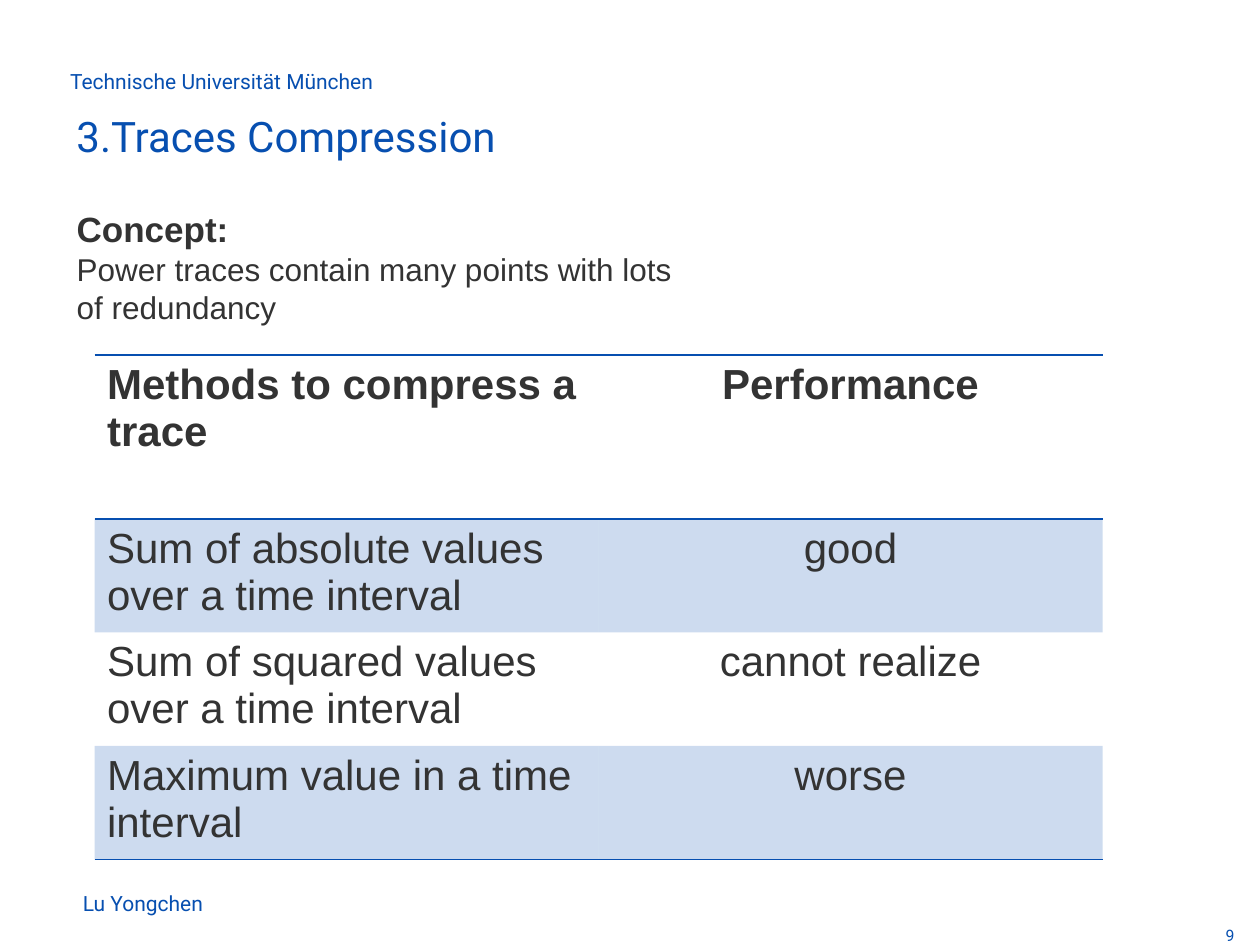
from lxml import etree
from pptx import Presentation
from pptx.dml.color import RGBColor
from pptx.enum import text
from pptx.oxml.ns import qn
from pptx.util import Pt

BLUE = RGBColor(0x07, 0x4F, 0xB0)
DARK = RGBColor(0x33, 0x33, 0x33)
NO_STYLE = "{2D5ABB26-0587-4C30-8999-92F81FD0307C}"

ROWS = [
    ("Methods to compress a trace", "Performance"),
    ("Sum of absolute values over a time interval", "good"),
    ("Sum of squared values over a time interval", "cannot realize"),
    ("Maximum value in a time interval", "worse"),
]


def format_runs(p, size, font, color, bold=False):
    for r in p.runs:
        r.font.size = Pt(size)
        r.font.name = font
        r.font.color.rgb = color
        r.font.bold = bold


def add_text(s, box, lines, anchor=text.MSO_ANCHOR.TOP):
    """Each line is (wording, size, font, colour, bold)."""
    tf = s.shapes.add_textbox(*map(Pt, box)).text_frame
    tf.word_wrap = True
    tf.vertical_anchor = anchor
    for i, (wording, *style) in enumerate(lines):
        p = tf.add_paragraph() if i else tf.paragraphs[0]
        p.text = wording
        format_runs(p, *style)


def add_header(s, left, top):
    add_text(s, (left, top, 210, 22),
             [("Technische Universität München", 12, "Roboto", BLUE, False)],
             text.MSO_ANCHOR.BOTTOM)
    add_text(s, (left + 3.6, top + 24.5, 647, 30),
             [("3.Traces Compression", 24, "Roboto", BLUE, False)])


def add_concept(s, box):
    add_text(s, box, [
        ("Concept:", 20, "Arial", DARK, True),
        ("Power traces contain many points with lots of redundancy",
         18, "Arial", DARK, False),
    ])


def add_footer(s, left, top):
    add_text(s, (left, top, 441, 24),
             [("Lu Yongchen", 12, "Roboto", BLUE, False)],
             text.MSO_ANCHOR.MIDDLE)
    add_text(s, (left + 653, top + 21.6, 27, 14.4),
             [("9", 9, "Roboto", BLUE, False)])


def add_border(cell, side, index):
    ln = etree.Element(qn(f"a:ln{side}"), w=str(Pt(1)))
    fill = etree.SubElement(ln, qn("a:solidFill"))
    etree.SubElement(fill, qn("a:srgbClr"), val=str(BLUE))
    cell._tc.get_or_add_tcPr().insert(index, ln)


def tint(cell, percent):
    cell.fill.solid()
    cell.fill.fore_color.rgb = BLUE
    clr = cell._tc.tcPr.find(".//" + qn("a:srgbClr"))
    etree.SubElement(clr, qn("a:alpha"), val=str(percent * 1000))


def add_methods_table(s, left, top, width, head_height, row_height):
    height = head_height + row_height * (len(ROWS) - 1)
    table = s.shapes.add_table(len(ROWS), 2, Pt(left), Pt(top),
                               Pt(width), Pt(height)).table
    table._tbl.tblPr.find(qn("a:tableStyleId")).text = NO_STYLE
    table.first_row = table.horz_banding = False
    for i, row in enumerate(ROWS):
        head, last = i == 0, i == len(ROWS) - 1
        table.rows[i].height = Pt(head_height if head else row_height)
        for j, wording in enumerate(row):
            cell = table.cell(i, j)
            p = cell.text_frame.paragraphs[0]
            p.text = wording
            p.alignment = text.PP_ALIGN.CENTER if j else text.PP_ALIGN.LEFT
            format_runs(p, 24, "Arial", DARK, head)
            # Odd rows are tinted
            if i % 2:
                tint(cell, 20)
            else:
                cell.fill.background()
            # Rules around the heading and below the last row
            sides = "TB" if head else "B" if last else ""
            for index, side in enumerate(sides):
                add_border(cell, side, index)


def main():
    prs = Presentation()
    prs.slide_width, prs.slide_height = Pt(720), Pt(540)
    s = prs.slides.add_slide(prs.slide_layouts[6])
    add_header(s, 33, 35.3)
    add_concept(s, (36.7, 115.2, 360, 75))
    add_methods_table(s, 54, 203, 576, 93.6, 64.8)
    add_footer(s, 40.3, 504)
    prs.save("out.pptx")


if __name__ == "__main__":
    main()
